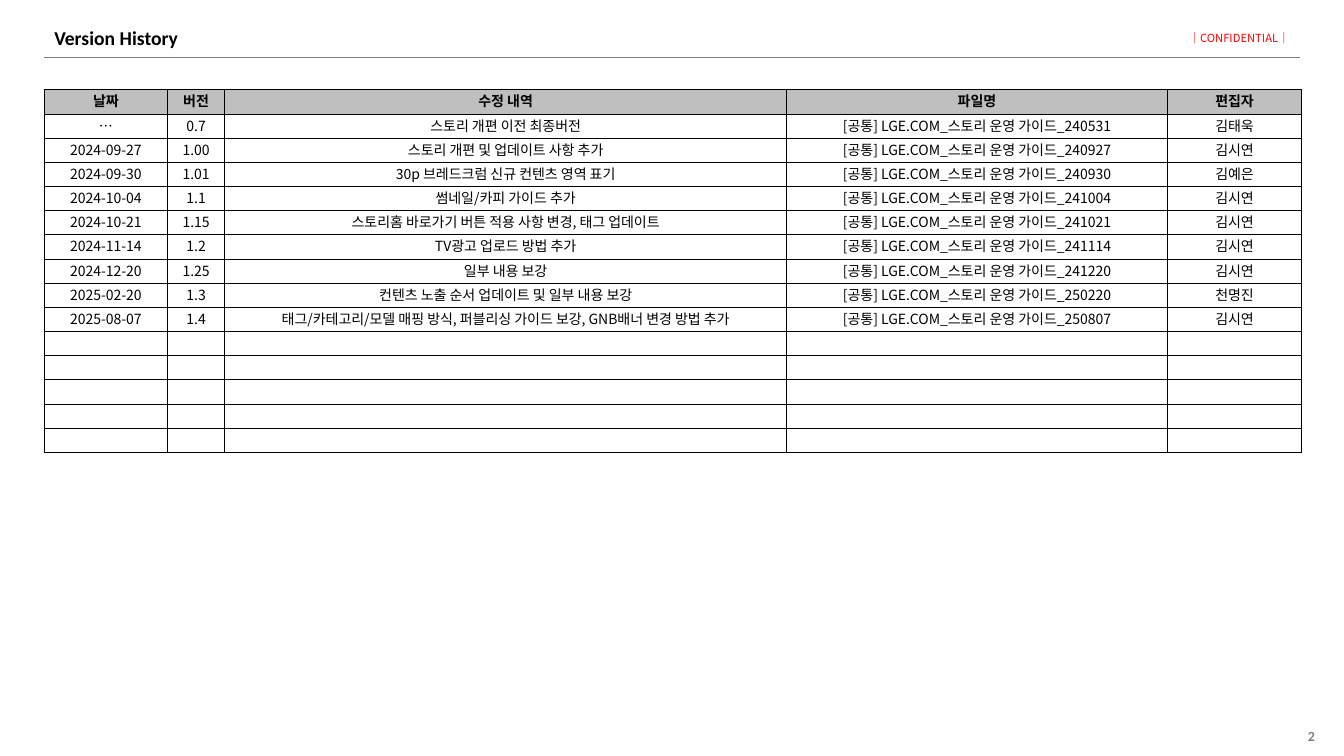
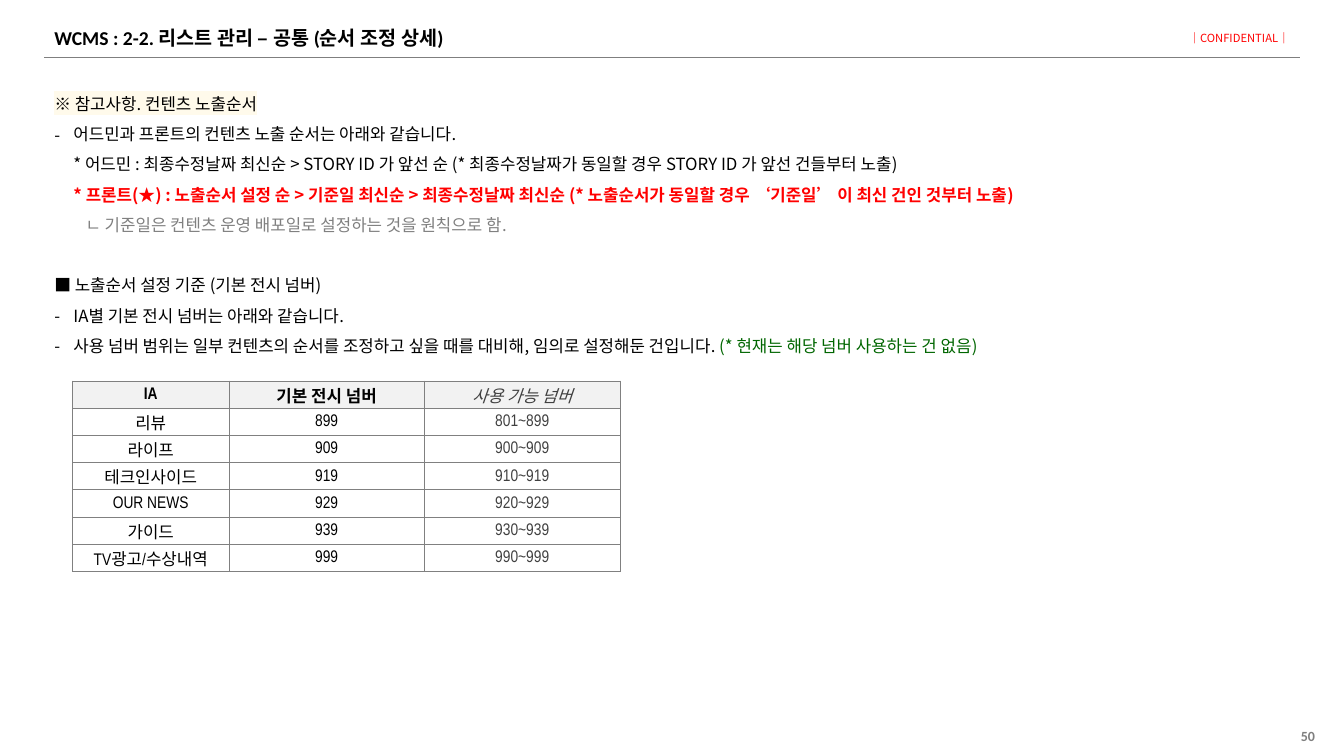
from lxml.etree import SubElement as Sub
from pptx import Presentation
from pptx.dml.color import RGBColor as RGB
from pptx.enum.shapes import MSO_CONNECTOR as Conn
from pptx.enum.text import MSO_ANCHOR as Anchor, PP_ALIGN as Align
from pptx.oxml.ns import qn
from pptx.util import Inches, Pt

HUES = {
    "ink": "000000", "gray": "7F7F7F", "red": "FF0000", "green": "006600",
    "note": "808080", "dark": "404040", "mark": "FFFAEB",
    "head": "BFBFBF", "pale": "F2F2F2",
}
NOTO, CALI, SLIM = "Noto Sans CJK KR", "Calibri", "Arial Narrow"
LEFT, WIDE = 0.44, 12.46

LOG_HEAD = ("날짜", "버전", "수정 내역", "파일명", "편집자")
FILE = "[공통] LGE.COM_스토리 운영 가이드_"
LOG = [
    ("…", "0.7", "스토리 개편 이전 최종버전", "240531", "김태욱"),
    ("2024-09-27", "1.00", "스토리 개편 및 업데이트 사항 추가", "240927", "김시연"),
    ("2024-09-30", "1.01", "30p 브레드크럼 신규 컨텐츠 영역 표기", "240930", "김예은"),
    ("2024-10-04", "1.1", "썸네일/카피 가이드 추가", "241004", "김시연"),
    ("2024-10-21", "1.15", "스토리홈 바로가기 버튼 적용 사항 변경, 태그 업데이트", "241021", "김시연"),
    ("2024-11-14", "1.2", "TV광고 업로드 방법 추가", "241114", "김시연"),
    ("2024-12-20", "1.25", "일부 내용 보강", "241220", "김시연"),
    ("2025-02-20", "1.3", "컨텐츠 노출 순서 업데이트 및 일부 내용 보강", "250220", "천명진"),
    ("2025-08-07", "1.4", "태그/카테고리/모델 매핑 방식, 퍼블리싱 가이드 보강, GNB배너 변경 방법 추가",
     "250807", "김시연"),
]
SPARE = 5

ORDER = [
    {"runs": [("※ 참고사항. 컨텐츠 노출순서", {"mark": "mark"})]},
    {"dash": True, "runs": [("어드민과 프론트의 컨텐츠 노출 순서는 아래와 같습니다.", {})]},
    {"pad": 0.19, "runs": [
        ("* 어드민 : 최종수정날짜 최신순 > STORY ID 가 앞선 순 "
         "(* 최종수정날짜가 동일할 경우 STORY ID 가 앞선 건들부터 노출)", {})]},
    {"pad": 0.19, "runs": [
        ("* 프론트(★) : 노출순서 설정 순 > 기준일 최신순 > 최종수정날짜 최신순 "
         "(* 노출순서가 동일할 경우 ‘기준일’ 이 최신 건인 것부터 노출)",
         {"hue": "red", "bold": True})]},
    {"pad": 0.31, "runs": [
        ("ㄴ 기준일은 컨텐츠 운영 배포일로 설정하는 것을 원칙으로 함.", {"hue": "note"})]},
]
RULES = [
    {"runs": [("■ 노출순서 설정 기준 (기본 전시 넘버)", {})]},
    {"dash": True, "runs": [("IA별 기본 전시 넘버는 아래와 같습니다.", {})]},
    {"dash": True, "runs": [
        ("사용 넘버 범위는 일부 컨텐츠의 순서를 조정하고 싶을 때를 대비해, 임의로 설정해둔 건입니다. ", {}),
        ("(* 현재는 해당 넘버 사용하는 건 없음)", {"hue": "green"})]},
]
IA_HEAD = ("IA", "기본 전시 넘버", "사용 가능 넘버")
IA = [
    ("리뷰", "899", "801~899"),
    ("라이프", "909", "900~909"),
    ("테크인사이드", "919", "910~919"),
    ("OUR NEWS", "929", "920~929"),
    ("가이드", "939", "930~939"),
    ("TV광고/수상내역", "999", "990~999"),
]


def rgb(hue):
    return RGB.from_string(HUES[hue])


def style(run, size, face=NOTO, hue="ink", bold=False, slant=False, mark=None):
    font = run.font
    font.size, font.bold, font.italic = Pt(size), bold, slant
    font.color.rgb = rgb(hue)
    font.name = face
    props = run._r.get_or_add_rPr()
    Sub(props, qn("a:ea")).set("typeface", NOTO)
    if mark:
        tint = Sub(props, qn("a:highlight"))
        Sub(tint, qn("a:srgbClr")).set("val", HUES[mark])
        props.find(qn("a:solidFill")).addnext(tint)


def write(para, runs, size, **base):
    for text, look in runs:
        run = para.add_run()
        run.text = text
        style(run, size, **{**base, **look})


def box(slide, x, y, w, h, side=0.1, anchor=Anchor.TOP):
    frame = slide.shapes.add_textbox(*map(Inches, (x, y, w, h))).text_frame
    frame.word_wrap = True
    frame.vertical_anchor = anchor
    frame.margin_left = frame.margin_right = Inches(side)
    return frame


def indent(para, pad, dash):
    props = para._p.get_or_add_pPr()
    props.set("marL", str(Inches(0.19 if dash else pad)))
    props.set("indent", str(Inches(-0.19 if dash else 0)))
    if dash:
        Sub(Sub(props, qn("a:buClr")), qn("a:srgbClr")).set("val", HUES["ink"])
        Sub(props, qn("a:buFont")).set("typeface", NOTO)
        Sub(props, qn("a:buChar")).set("char", "-")


def notes(slide, y, h, items):
    frame = box(slide, LEFT, y, WIDE, h)
    for i, item in enumerate(items):
        para = frame.add_paragraph() if i else frame.paragraphs[0]
        indent(para, item.get("pad", 0), item.get("dash", False))
        para.line_spacing = 1.5
        write(para, item["runs"], 12)


def edge(cell, hue):
    props = cell._tc.get_or_add_tcPr()
    for side in ("lnL", "lnR", "lnT", "lnB"):
        line = Sub(props, qn("a:" + side), w=str(Pt(0.5)))
        Sub(Sub(line, qn("a:solidFill")), qn("a:srgbClr")).set("val", HUES[hue])


def grid(slide, x, y, cols, high, rows, size, foot, rim, fill, look):
    shape = slide.shapes.add_table(
        len(rows), len(cols), Inches(x), Inches(y),
        Inches(sum(cols)), Inches(high * len(rows)))
    table = shape.table
    table.first_row = table.horz_banding = False
    for col, wide in zip(table.columns, cols):
        col.width = Inches(wide)
    for r, row in enumerate(rows):
        table.rows[r].height = Inches(high)
        for c, text in enumerate(row):
            cell = table.cell(r, c)
            cell.vertical_anchor = Anchor.MIDDLE
            cell.margin_left = cell.margin_right = cell.margin_top = Inches(0.01)
            cell.margin_bottom = Inches(foot)
            edge(cell, rim)
            if r:
                cell.fill.background()
            else:
                cell.fill.solid()
                cell.fill.fore_color.rgb = rgb(fill)
            para = cell.text_frame.paragraphs[0]
            para.alignment = Align.CENTER
            if text:
                write(para, [(text, look(r, c))], size)
            else:
                Sub(para._p, qn("a:endParaRPr")).set("sz", str(size * 100))


def page(deck, title, num):
    slide = deck.slides.add_slide(deck.slide_layouts[6])
    para = box(slide, 10.14, 7.2, 3, 0.2, anchor=Anchor.MIDDLE).paragraphs[0]
    para.alignment = Align.RIGHT
    write(para, [(num, {})], 10, face=CALI, hue="gray", bold=True)
    rule = slide.shapes.add_connector(
        Conn.STRAIGHT, Inches(LEFT), Inches(0.57), Inches(12.89), Inches(0.57))
    rule.line.color.rgb = rgb("gray")
    rule.line.width = Pt(0.75)
    Sub(rule._element.spPr, qn("a:effectLst"))
    bar = ("｜", {"bold": True})
    para = box(slide, 11.79, 0.26, 1.11, 0.24, side=0).paragraphs[0]
    write(para, [bar, ("CONFIDENTIAL", {}), bar], 8, hue="red")
    para = box(slide, LEFT, 0.21, WIDE, 0.35, anchor=Anchor.MIDDLE).paragraphs[0]
    para.line_spacing = 0.9
    write(para, [(title, {})], 14, face=CALI, bold=True)
    return slide


def log_look(r, c):
    return {"bold": r == 0}


def ia_look(r, c):
    last = c == 2
    return {"face": SLIM, "hue": "dark" if last else "ink",
            "bold": r == 0 and not last, "slant": r == 0 and last}


def main():
    deck = Presentation()
    deck.slide_width, deck.slide_height = Inches(13.33), Inches(7.5)

    slide = page(deck, "Version History", "2")
    rows = [(day, ver, what, FILE + tag, who) for day, ver, what, tag, who in LOG]
    blank = [("",) * len(LOG_HEAD)] * SPARE
    grid(slide, LEFT, 0.89, (1.22, 0.57, 5.57, 3.78, 1.33), 0.24,
         [LOG_HEAD] + rows + blank, 10, 0.04, "ink", "head", log_look)

    slide = page(deck, "WCMS : 2-2. 리스트 관리 – 공통 (순서 조정 상세)", "50")
    notes(slide, 0.78, 1.62, ORDER)
    notes(slide, 2.58, 1.01, RULES)
    grid(slide, 0.72, 3.78, (1.55, 1.94, 1.94), 0.27,
         [IA_HEAD] + IA, 12, 0, "note", "pale", ia_look)

    deck.save("out.pptx")


if __name__ == "__main__":
    main()
